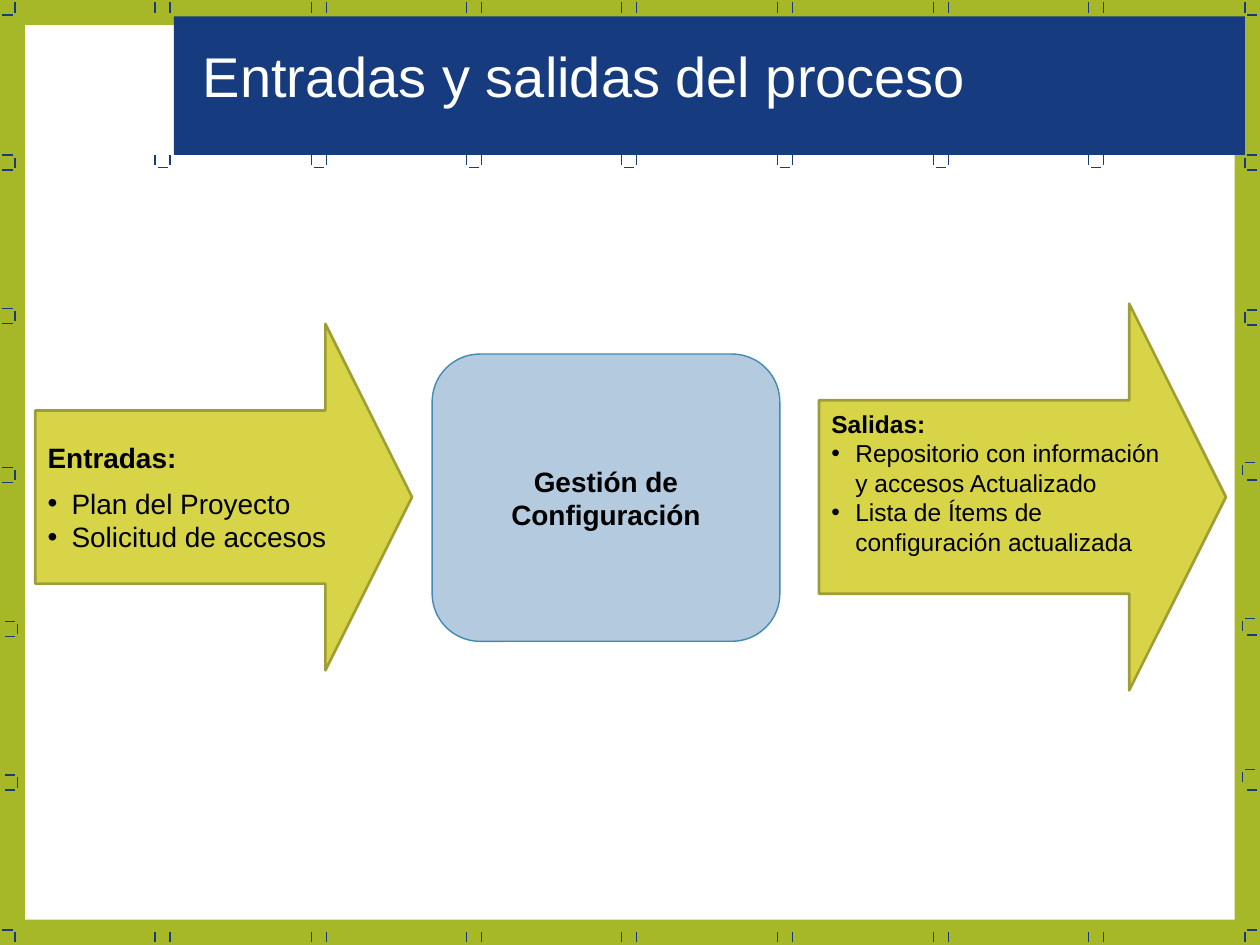
from lxml import etree
from pptx import Presentation
from pptx import util as u
from pptx.dml.color import RGBColor
from pptx.enum import shapes, text
from pptx.oxml import ns

GREEN = RGBColor(0xA6, 0xB7, 0x27)
WHITE = RGBColor(0xFF, 0xFF, 0xFF)
BLACK = RGBColor(0x00, 0x00, 0x00)
NAVY = RGBColor(0x16, 0x3B, 0x7F)
LIME = RGBColor(0xD7, 0xD4, 0x47)
OLIVE = RGBColor(0x9F, 0x9D, 0x35)
SKY = RGBColor(0xB3, 0xCA, 0xDF)
BLUE = RGBColor(0x41, 0x8A, 0xB3)

prs = Presentation()
prs.slide_width, prs.slide_height = u.Inches(10), u.Inches(7.5)
U = prs.slide_width // 1000
s = prs.slides.add_slide(prs.slide_layouts[5])
s.background.fill.solid()
s.background.fill.fore_color.rgb = GREEN


def box(kind, at, fill, line=None, width=0):
    sp = s.shapes.add_shape(kind, *[v * U for v in at])
    sp.shadow.inherit = False
    sp.fill.solid()
    sp.fill.fore_color.rgb = fill
    if line is None:
        sp.line.fill.background()
    else:
        sp.line.color.rgb = line
        sp.line.width = u.Pt(width)
    return sp


def tick(x, y, dx, dy):
    c = s.shapes.add_connector(shapes.MSO_CONNECTOR.STRAIGHT,
                               x * U, y * U, (x + dx) * U, (y + dy) * U)
    c.line.color.rgb = NAVY
    c.line.width = u.Pt(0.75)
    etree.SubElement(c.element.spPr, ns.qn("a:effectLst"))


RECT = shapes.MSO_SHAPE.RECTANGLE
ARROW = shapes.MSO_SHAPE.RIGHT_ARROW
ROUND = shapes.MSO_SHAPE.ROUNDED_RECTANGLE

box(RECT, (20, 20, 960, 710), WHITE)
box(RECT, (138, 13, 850, 110), NAVY)

for i in range(7):
    x = 123 + round(123.5 * i)
    for y in (2, 123, 740):
        tick(x, y, 0, 8)
        tick(x + 12, y, 0, 8)
    tick(x + 2, 133, 8, 0)

left = [(2, 123), (2, 245), (2, 371), (4, 493), (4, 615)]
right = [(988, 123), (988, 246), (986, 367), (986, 491), (986, 611)]
for i, ((lx, ly), (rx, ry)) in enumerate(zip(left, right)):
    tick(lx, ly, 8, 0)
    tick(lx, ly + 12, 8, 0)
    tick(lx + 10, ly + 2, 0, 8)
    tick(rx + 2, ry, 8, 0)
    tick(990, 135 + 123 * i, 8, 0)
    tick(rx, ry + 2, 0, 8)

for x, vx in ((2, 12), (990, 988)):
    for y, vy in ((12, 2), (738, 740)):
        tick(x, y, 8, 0)
        tick(vx, vy, 0, 8)

title = s.shapes.title
s.shapes.element.append(title.element)
title.left, title.top, title.width, title.height = [v * U for v in (151, 28, 680, 63)]

inputs = box(ARROW, (28, 257, 299, 275), LIME, OLIVE, 1.5)
process = box(ROUND, (343, 281, 276, 228), SKY, BLUE, 0.79)
outputs = box(ARROW, (650, 241, 323, 307), LIME, OLIVE, 1.5)
for sp in (inputs, outputs):
    sp.adjustments[0], sp.adjustments[1] = 0.5, 0.25

LEFT, CENTER = text.PP_ALIGN.LEFT, text.PP_ALIGN.CENTER
blocks = [
    (title, ["Entradas y salidas del proceso"], LEFT, True, 5, 0,
     {"size": u.Pt(32), "bold": False}, WHITE),
    (inputs, ["Entradas:", "Plan del Proyecto", "Solicitud de accesos"], LEFT, False, 5, 7,
     {"size": u.Pt(16), "bold": True}, BLACK),
    (process, ["Gestión de Configuración"], CENTER, True, 5, 0,
     {"size": u.Pt(16), "bold": True}, BLACK),
    (outputs, ["Salidas:", "Repositorio con información \vy accesos Actualizado",
               "Lista de Ítems de \vconfiguración actualizada"], LEFT, False, 28, 0,
     {"size": u.Pt(14), "bold": True}, BLACK),
]
for sp, lines, align, wrap, bottom, gap, font, color in blocks:
    tf = sp.text_frame
    frame = {"word_wrap": wrap, "auto_size": text.MSO_AUTO_SIZE.NONE,
             "vertical_anchor": text.MSO_ANCHOR.MIDDLE, "margin_bottom": bottom * U}
    for k, v in frame.items():
        setattr(tf, k, v)
    tf.text = "\n".join(lines)
    for i, p in enumerate(tf.paragraphs):
        p.alignment = align
        p.space_before = u.Pt(0)
        p.space_after = u.Pt(0 if i else gap)
        if i:
            pPr = p._p.get_or_add_pPr()
            pPr.set("marL", str(19 * U))
            pPr.set("indent", str(-19 * U))
            etree.SubElement(pPr, ns.qn("a:buFont"), typeface="Arial")
            etree.SubElement(pPr, ns.qn("a:buChar"), char="•")
        for r in p.runs:
            for k, v in {**font, "name": "Arial"}.items():
                setattr(r.font, k, v)
            r.font.color.rgb = color
            if i:
                r.font.bold = False

prs.save("out.pptx")
